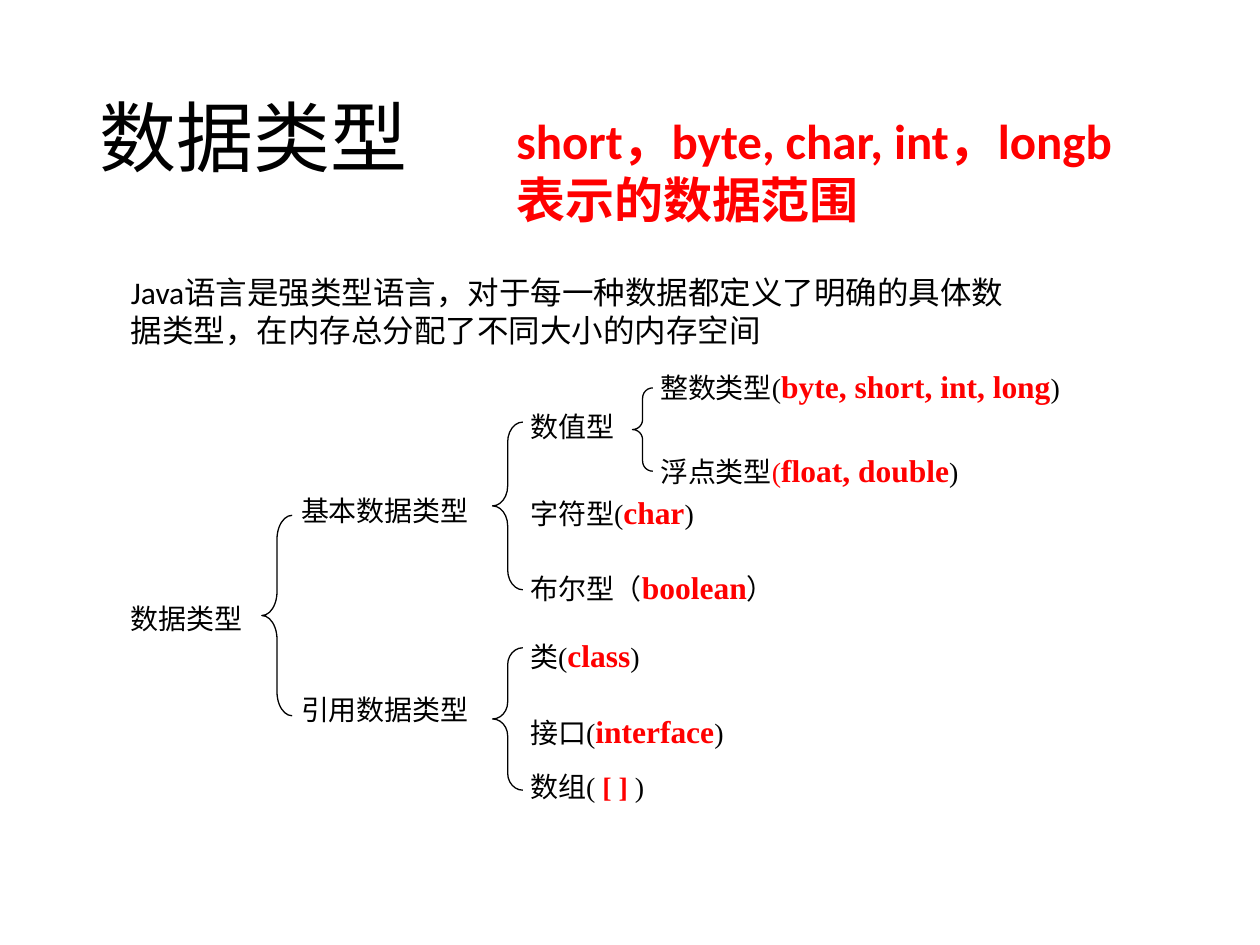
from pptx import Presentation
from pptx.dml.color import RGBColor
from pptx.enum.shapes import MSO_SHAPE
from pptx.enum.text import MSO_ANCHOR, MSO_AUTO_SIZE, PP_ALIGN
from pptx.util import Cm, Pt

BLACK = RGBColor(0x00, 0x00, 0x00)
RED = RGBColor(0xFF, 0x00, 0x00)
LEFT, JUSTIFY = PP_ALIGN.LEFT, PP_ALIGN.JUSTIFY
MIDDLE = MSO_ANCHOR.MIDDLE
FIT_SHAPE = MSO_AUTO_SIZE.SHAPE_TO_FIT_TEXT
LEFT_BRACE = MSO_SHAPE.LEFT_BRACE
HEADING_FONT, TREE_FONT = "Calibri", "Times New Roman"

# Run styles: size in points, colour, bold
PLAIN = (16, BLACK, False)
RED_PLAIN = (16, RED, False)
RED_BOLD = (16, RED, True)
KEYWORD = (18, RED, True)

# Left edges of the tree columns, in cm
ROOT, KIND, GROUP, DETAIL = 2.49, 5.92, 10.54, 13.16
LABEL_HEIGHT = 0.69


def labelled(before, keyword, after=")"):
    return [(before, PLAIN), (keyword, KEYWORD), (after, PLAIN)]


# Tree labels: left, top, width, runs
LABELS = [
    (ROOT, 12.04, 4.22, [("数据类型", PLAIN)]),
    (KIND, 9.86, 4.24, [("基本数据类型", PLAIN)]),
    (KIND, 13.89, 4.24, [("引用数据类型", PLAIN)]),
    (GROUP, 8.18, 2.41, [("数值型", PLAIN)]),
    (GROUP, 9.86, 4.83, labelled("字符型(", "char")),
    (GROUP, 11.38, 6.35, labelled("布尔型（", "boolean", "）")),
    (DETAIL, 7.32, 8.64, labelled("整数类型(", "byte, short, int, long")),
    (DETAIL, 9.02, 6.96, [("浮点类型", PLAIN), ("(", RED_PLAIN),
                          ("float, double", KEYWORD), (")", PLAIN)]),
    (GROUP, 12.75, 4.01, labelled("类(", "class")),
    (GROUP, 14.27, 4.83, labelled("接口(", "interface")),
    (GROUP, 15.44, 4.83, [("数组( ", PLAIN), ("[ ]", RED_BOLD), (" )", PLAIN)]),
]

# Braces: left, top, width, height, curvature
BRACES = [
    (5.28, 10.39, 0.61, 4.04, 0.79),
    (9.93, 8.51, 0.61, 3.38, 0.66),
    (12.75, 7.82, 0.41, 1.68, 0.5),
    (9.93, 13.06, 0.61, 2.87, 0.56),
]


def style_font(font, name, size, color, bold=False):
    font.name = name
    font.size = Pt(size)
    font.color.rgb = color
    font.bold = bold


def add_title(slide, text):
    title = slide.shapes.title
    title.left, title.top = Cm(1.75), Cm(1.02)
    title.width, title.height = Cm(21.9), Cm(3.68)
    title.text_frame.text = text
    title.text_frame.vertical_anchor = MIDDLE
    paragraph = title.text_frame.paragraphs[0]
    paragraph.alignment = LEFT
    paragraph.line_spacing = 0.9
    style_font(paragraph.font, HEADING_FONT, 44, BLACK)


def add_text_box(slide, left, top, width, height):
    box = slide.shapes.add_textbox(Cm(left), Cm(top), Cm(width), Cm(height))
    frame = box.text_frame
    frame.word_wrap = True
    frame.auto_size = FIT_SHAPE
    return frame


def add_note(slide, bounds, text, size, color, bold=False):
    paragraph = add_text_box(slide, *bounds).paragraphs[0]
    paragraph.text = text
    style_font(paragraph.font, HEADING_FONT, size, color, bold)


def add_label(slide, left, top, width, runs):
    frame = add_text_box(slide, left, top, width, LABEL_HEIGHT)
    frame.margin_left = frame.margin_right = Cm(0.15)
    frame.margin_top = frame.margin_bottom = Cm(0.08)
    paragraph = frame.paragraphs[0]
    paragraph.alignment = JUSTIFY
    for text, style in runs:
        run = paragraph.add_run()
        run.text = text
        style_font(run.font, TREE_FONT, *style)


def add_brace(slide, left, top, width, height, curvature):
    brace = slide.shapes.add_shape(
        LEFT_BRACE, Cm(left), Cm(top), Cm(width), Cm(height))
    brace.adjustments[0] = curvature
    brace.shadow.inherit = False
    brace.fill.background()
    brace.line.color.rgb = BLACK
    brace.line.width = Pt(0.75)


def main():
    presentation = Presentation()
    presentation.slide_width, presentation.slide_height = Cm(25.4), Cm(19.05)
    slide = presentation.slides.add_slide(presentation.slide_layouts[5])

    add_title(slide, "数据类型")

    # Tree of data types
    for label in LABELS:
        add_label(slide, *label)
    for brace in BRACES:
        add_brace(slide, *brace)

    # Introduction and highlighted question
    add_note(slide, (2.39, 5.38, 18.11, 1.96),
             "Java语言是强类型语言，对于每一种数据都定义了明确的具体"
             "数据类型，在内存总分配了不同大小的内存空间", 18, BLACK)
    add_note(slide, (10.16, 2.11, 12.7, 2.64),
             "short，byte, char, int，longb表示的数据范围", 28, RED, True)

    presentation.save("out.pptx")


if __name__ == "__main__":
    main()
